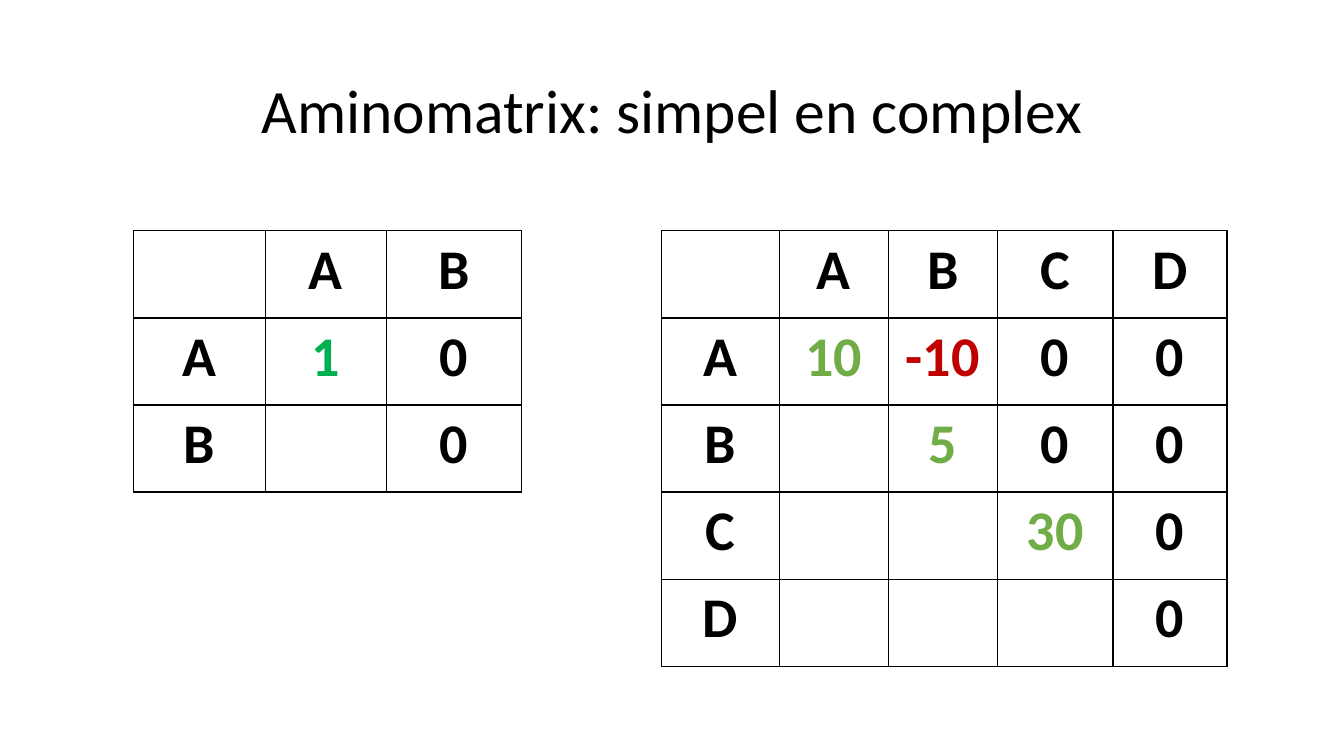
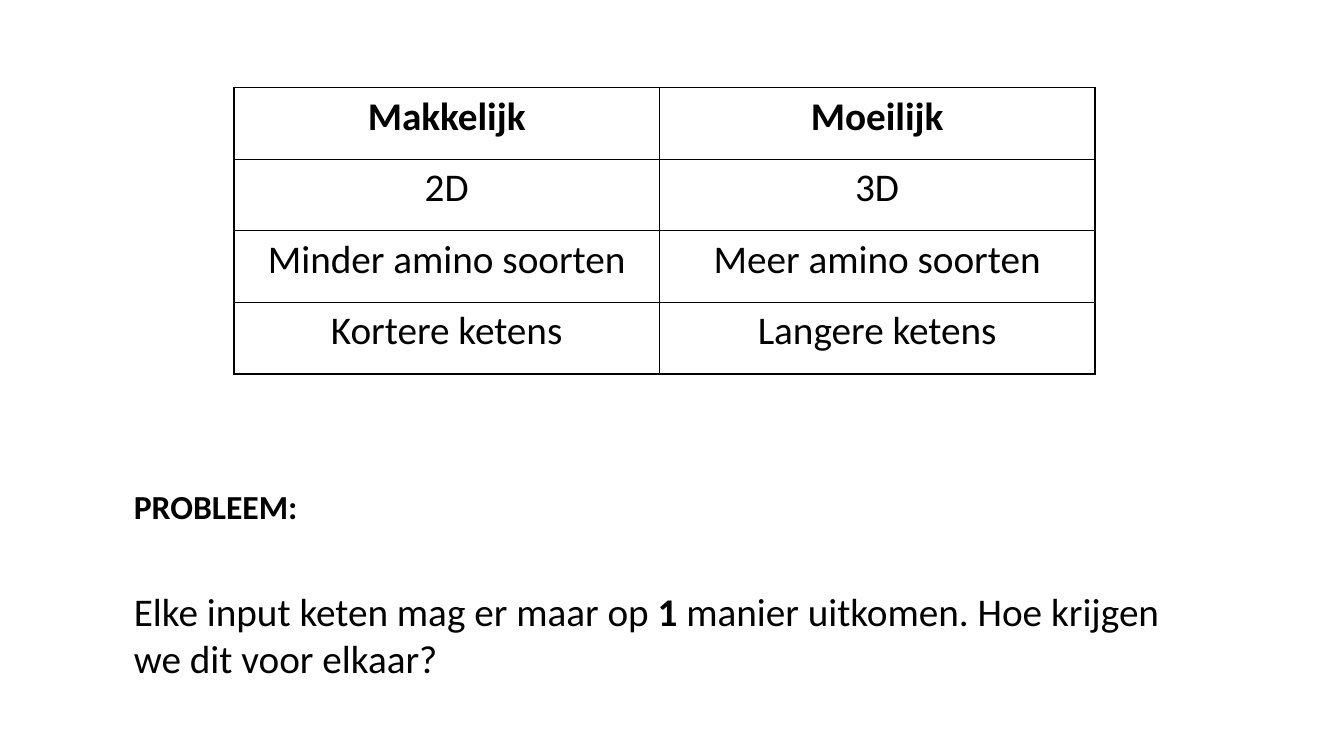
from lxml import etree
from pptx import Presentation
from pptx.dml.color import RGBColor
from pptx.enum import text
from pptx.oxml import ns
from pptx.util import Inches, Pt

BLACK = RGBColor(0x00, 0x00, 0x00)
LEAF = RGBColor(0x70, 0xAD, 0x47)
GREEN = RGBColor(0x00, 0xB0, 0x50)
RED = RGBColor(0xC0, 0x00, 0x00)
FONT = "Calibri"
MID = text.PP_ALIGN.CENTER


class Deck:
    def __init__(self):
        self.prs = Presentation()
        self.prs.slide_width = Inches(13.33)
        self.prs.slide_height = Inches(7.5)
        self.slide = None

    def page(self):
        self.slide = self.prs.slides.add_slide(self.prs.slide_layouts[6])

    def style(self, font, size, bold=False, color=BLACK):
        font.name = FONT
        font.size = Pt(size)
        font.bold = bold
        font.color.rgb = color

    def box(self, left, top, width, height):
        shape = self.slide.shapes.add_textbox(
            Inches(left), Inches(top), Inches(width), Inches(height))
        shape.text_frame.word_wrap = True
        return shape.text_frame

    def title(self, words):
        frame = self.box(0.92, 0.4, 11.5, 1.45)
        frame.vertical_anchor = text.MSO_ANCHOR.MIDDLE
        frame.text = words
        para = frame.paragraphs[0]
        para.alignment = MID
        para.line_spacing = 0.9
        self.style(para.runs[0].font, 44)

    def note(self, place, head, parts, gap):
        frame = self.box(*place)
        frame.text = head
        self.style(frame.paragraphs[0].runs[0].font, 24, True)
        para = frame.add_paragraph()
        para.space_before = Pt(gap)
        for words, bold in parts:
            run = para.add_run()
            run.text = words
            self.style(run.font, 28, bold)

    def border(self, cell):
        props = cell._tc.get_or_add_tcPr()
        for spot, side in enumerate(("lnL", "lnR", "lnT", "lnB")):
            line = etree.Element(ns.qn("a:" + side), w=str(Pt(1)))
            fill = etree.SubElement(line, ns.qn("a:solidFill"))
            etree.SubElement(fill, ns.qn("a:srgbClr"), val=str(BLACK))
            props.insert(spot, line)

    def table(self, left, top, cols, high, rows, size, bold_rows, tones=None):
        grid = self.slide.shapes.add_table(
            len(rows), len(cols), Inches(left), Inches(top),
            Inches(sum(cols)), Inches(high * len(rows))).table
        grid.first_row = grid.horz_banding = False
        for col, width in zip(grid.columns, cols):
            col.width = Inches(width)
        for i, row in enumerate(rows):
            grid.rows[i].height = Inches(high)
            for j, words in enumerate(row):
                cell = grid.cell(i, j)
                cell.fill.background()
                self.border(cell)
                if not words:
                    continue
                cell.text_frame.text = words
                para = cell.text_frame.paragraphs[0]
                para.alignment = MID
                tone = (tones or {}).get(words, BLACK)
                self.style(para.runs[0].font, size, i < bold_rows, tone)

    def matrix(self, left, cols, names, values, tones):
        rows = [["", *names]]
        for i, (name, line) in enumerate(zip(names, values)):
            rows.append([name] + [""] * i + line)
        self.table(left, 2.29, cols, 0.864, rows, 40, len(rows), tones)


def main():
    deck = Deck()

    deck.page()
    deck.title("Aminomatrix: simpel en complex")
    deck.matrix(6.56, [1.17, 1.08, 1.08, 1.15, 1.13], "ABCD",
                [["10", "-10", "0", "0"], ["5", "0", "0"], ["30", "0"], ["0"]],
                {"10": LEAF, "5": LEAF, "30": LEAF, "-10": RED})
    deck.matrix(1.32, [1.31, 1.2, 1.34], "AB",
                [["1", "0"], ["0"]], {"1": GREEN})

    deck.page()
    deck.table(2.32, 0.87, [4.22, 4.32], 0.71, [
        ["Makkelijk", "Moeilijk"],
        ["2D", "3D"],
        ["Minder amino soorten", "Meer amino soorten"],
        ["Kortere ketens", "Langere ketens"],
    ], 28, 1)
    deck.note((1.23, 4.77, 10.9, 2.05), "PROBLEEM:", [
        ("Elke input keten mag er maar op ", False),
        ("1 ", True),
        ("manier uitkomen. Hoe krijgen we dit voor elkaar?", False),
    ], 44)

    deck.prs.save("out.pptx")


if __name__ == "__main__":
    main()
